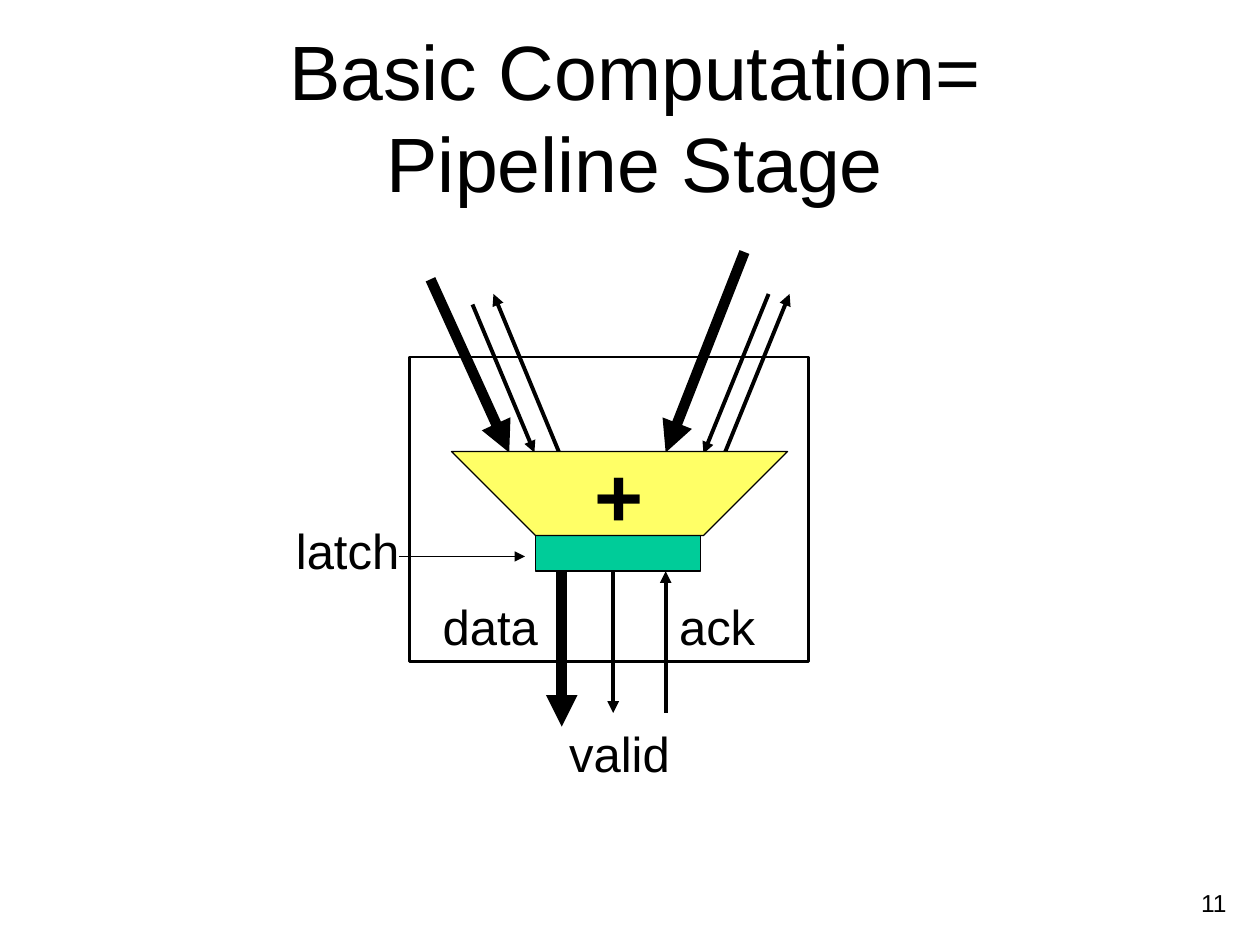
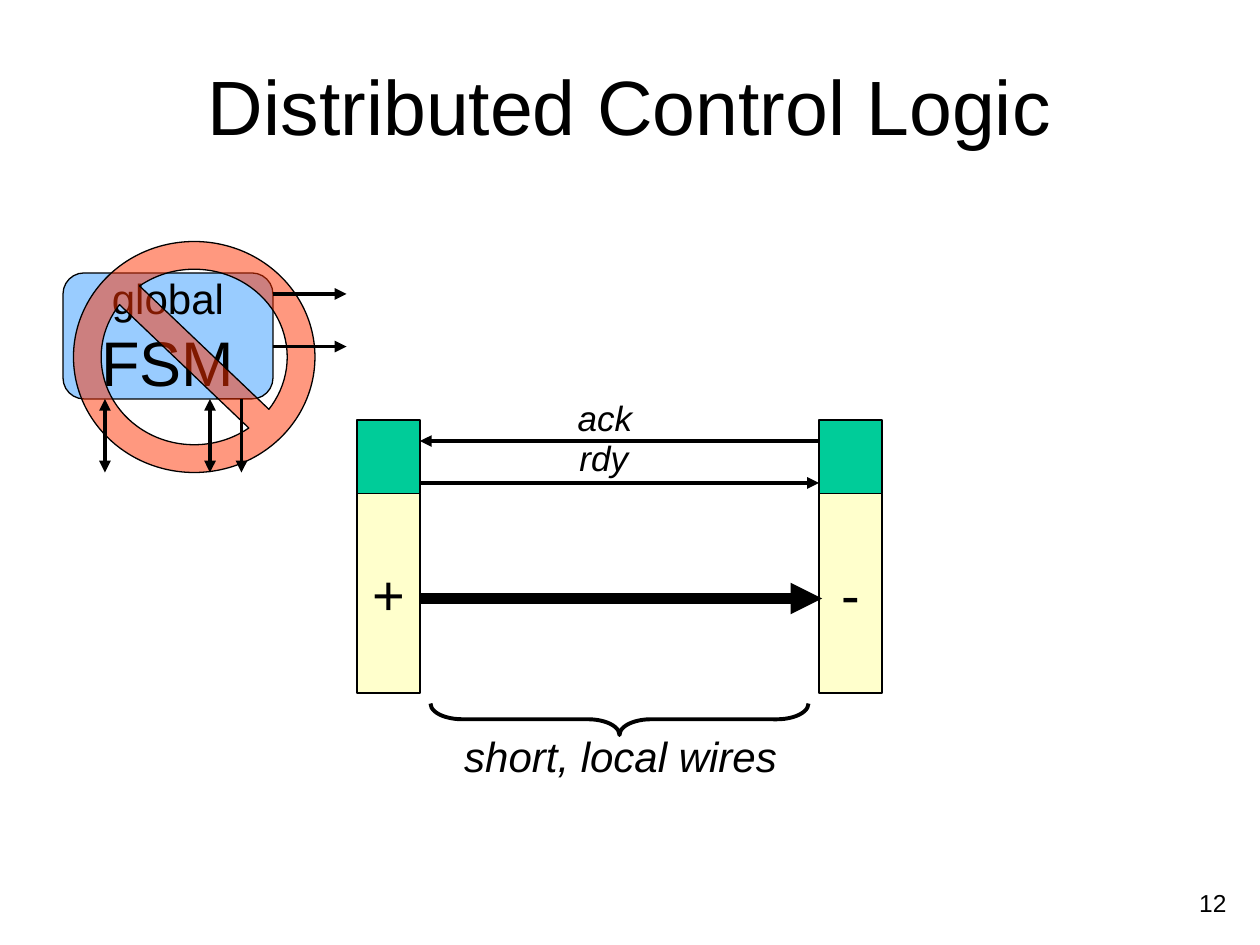
from typing import NamedTuple

from lxml.etree import SubElement
from pptx import Presentation
from pptx.dml.color import RGBColor
from pptx.enum.shapes import MSO_CONNECTOR, MSO_SHAPE
from pptx.enum.text import MSO_ANCHOR, PP_ALIGN
from pptx.oxml.ns import qn
from pptx.util import Emu, Pt

PX = 7620  # EMU in one px, 120 px to the inch
FONT = "Arial"
THIN, FRAME, WIRE, BUS = 0.75, 1.5, 2.25, 6
HEX = {
    "ink": "000000",
    "latch": "00CC99",
    "adder": "FFFF66",
    "unit": "FFFFCC",
    "fsm": "99CCFF",
    "ban": "FF3300",
}


class Box(NamedTuple):
    x: int
    y: int
    w: int
    h: int


class Label(NamedTuple):
    text: str
    box: Box
    size: int = 28
    italic: bool = False
    align: PP_ALIGN = PP_ALIGN.CENTER
    anchor: MSO_ANCHOR = MSO_ANCHOR.TOP
    wrap: bool = False


class Arrow(NamedTuple):
    x1: int
    y1: int
    x2: int
    y2: int
    width: float = WIRE
    both: bool = False


def tint(name: str) -> RGBColor:
    return RGBColor.from_string(HEX[name])


def emu(box: Box) -> list[Emu]:
    return [Emu(v * PX) for v in box]


# Text
def write(shape, text: str, size: int, bold: bool = False, italic: bool = False,
          align: PP_ALIGN = PP_ALIGN.CENTER, anchor: MSO_ANCHOR = MSO_ANCHOR.MIDDLE,
          wrap: bool = False) -> None:
    frame = shape.text_frame
    frame.text = text
    frame.word_wrap = wrap
    frame.vertical_anchor = anchor
    for para in frame.paragraphs:
        para.alignment = align
        font = para.font
        font.name, font.size = FONT, Pt(size)
        font.bold, font.italic = bold, italic
        font.color.rgb = tint("ink")


def add_label(slide, label: Label) -> None:
    shape = slide.shapes.add_textbox(*emu(label.box))
    write(shape, label.text, label.size, italic=label.italic, align=label.align,
          anchor=label.anchor, wrap=label.wrap)


# Shapes and lines
def style(shape, fill: str | None, width: float) -> None:
    shape.shadow.inherit = False
    if fill:
        shape.fill.solid()
        shape.fill.fore_color.rgb = tint(fill)
    else:
        shape.fill.background()
    shape.line.color.rgb = tint("ink")
    shape.line.width = Pt(width)


def add_block(slide, kind: MSO_SHAPE, box: Box, fill: str | None = None,
              width: float = THIN):
    shape = slide.shapes.add_shape(kind, *emu(box))
    style(shape, fill, width)
    return shape


def add_arrow(slide, arrow: Arrow) -> None:
    ends = [Emu(v * PX) for v in arrow[:4]]
    line = slide.shapes.add_connector(MSO_CONNECTOR.STRAIGHT, *ends)
    line.line.color.rgb = tint("ink")
    line.line.width = Pt(arrow.width)
    props = line.line._get_or_add_ln()
    for tag in ("a:headEnd", "a:tailEnd") if arrow.both else ("a:tailEnd",):
        SubElement(props, qn(tag), type="triangle")
    SubElement(line._element.spPr, qn("a:effectLst"))


# Title and page number
def new_slide(deck, title: str, box: Box, page: int):
    slide = deck.slides.add_slide(deck.slide_layouts[6])
    add_label(slide, Label(title, box, 44, anchor=MSO_ANCHOR.MIDDLE, wrap=True))
    add_label(slide, Label(str(page), Box(950, 840, 230, 60), 14,
                           align=PP_ALIGN.RIGHT, wrap=True))
    return slide


def draw_stage(deck) -> None:
    slide = new_slide(deck, "Basic Computation=\nPipeline Stage",
                      Box(90, 60, 1030, 100), 11)

    # Wires out of and into the stage
    for arrow in (
        Arrow(535, 540, 535, 692, BUS),
        Arrow(584, 540, 584, 679),
        Arrow(634, 679, 634, 544),
        Arrow(690, 432, 752, 280),
        Arrow(709, 240, 634, 431, BUS),
        Arrow(732, 280, 670, 432),
        Arrow(533, 432, 470, 280),
        Arrow(410, 266, 485, 431, BUS),
        Arrow(450, 290, 509, 431),
        Arrow(380, 530, 500, 530, THIN),
    ):
        add_arrow(slide, arrow)

    # Latch, frame and adder
    add_block(slide, MSO_SHAPE.RECTANGLE, Box(510, 510, 157, 34), "latch")
    add_block(slide, MSO_SHAPE.RECTANGLE, Box(390, 340, 380, 290), width=FRAME)
    path = slide.shapes.build_freeform(430, 430, scale=PX)
    path.add_line_segments([(750, 430), (670, 510), (510, 510)], close=True)
    adder = path.convert_to_shape()
    style(adder, "adder", THIN)
    write(adder, "+", 48, bold=True)

    for label in (
        Label("data", Box(402, 562, 130, 68)),
        Label("valid", Box(525, 683, 130, 68)),
        Label("ack", Box(628, 562, 110, 68)),
        Label("latch", Box(261, 490, 140, 68)),
    ):
        add_label(slide, label)


def draw_control(deck) -> None:
    slide = new_slide(deck, "Distributed Control Logic", Box(90, 60, 1020, 80), 12)

    # Two units, each under its latch
    for x, sign in ((340, "+"), (780, "-")):
        unit = add_block(slide, MSO_SHAPE.RECTANGLE, Box(x, 470, 60, 190), "unit")
        write(unit, sign, 32)
        add_block(slide, MSO_SHAPE.RECTANGLE, Box(x, 400, 60, 70), "latch")

    # Global controller, crossed out
    fsm = add_block(slide, MSO_SHAPE.ROUNDED_RECTANGLE, Box(60, 260, 200, 120), "fsm")
    write(fsm, "global\nFSM", 36)
    fsm.text_frame.paragraphs[0].font.size = Pt(24)
    ban = add_block(slide, MSO_SHAPE.NO_SYMBOL, Box(70, 230, 230, 220), "ban")
    ban.adjustments[0] = 0.12
    color = ban._element.spPr.find(qn("a:solidFill")).find(qn("a:srgbClr"))
    SubElement(color, qn("a:alpha"), val="50000")

    # Wires between the units, then those of the controller
    for arrow in (
        Arrow(780, 420, 400, 420),
        Arrow(400, 460, 780, 460),
        Arrow(400, 570, 783, 570, BUS),
        *(Arrow(260, y, 330, y) for y in (280, 330)),
        Arrow(230, 380, 230, 450),
        *(Arrow(x, 380, x, 450, both=True) for x in (200, 100)),
    ):
        add_arrow(slide, arrow)

    # Brace, turned to point down
    brace = add_block(slide, MSO_SHAPE.RIGHT_BRACE, Box(575, 505, 30, 360), width=WIRE)
    brace.adjustments[0] = 1
    brace.rotation = 90

    for label in (
        Label("ack", Box(531, 372, 90, 53), 20, True),
        Label("rdy", Box(530, 410, 90, 53), 20, True),
        Label("short, local wires", Box(421, 690, 340, 60), 24, True),
    ):
        add_label(slide, label)


def main() -> None:
    deck = Presentation()
    deck.slide_width, deck.slide_height = Emu(1200 * PX), Emu(900 * PX)
    draw_stage(deck)
    draw_control(deck)
    deck.save("out.pptx")


if __name__ == "__main__":
    main()
